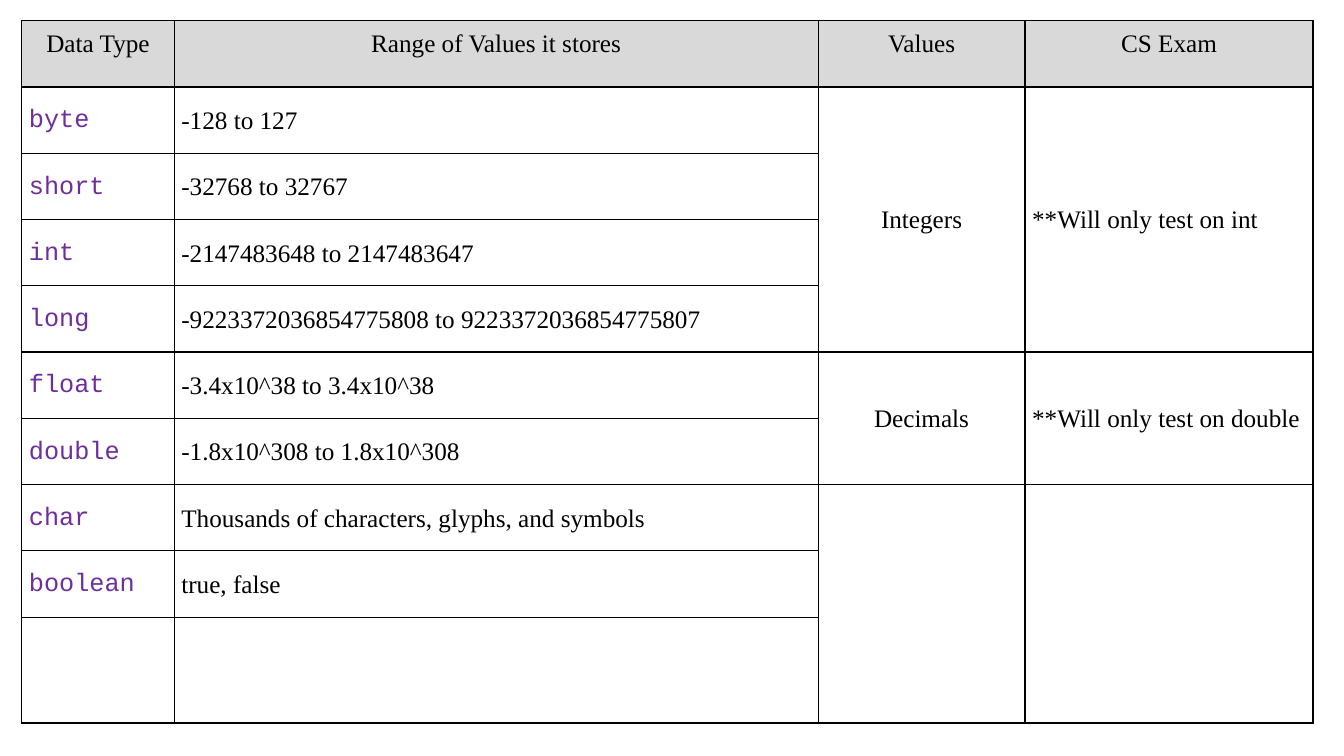
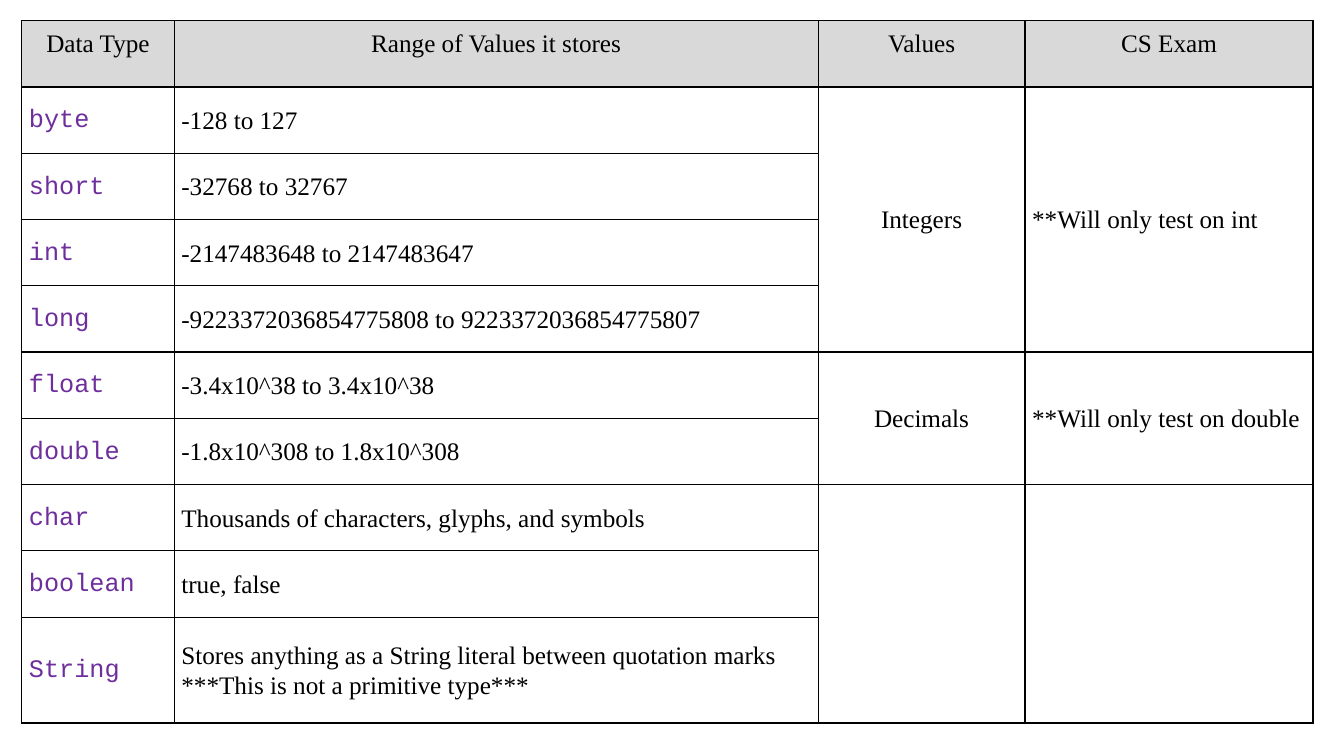
from pptx import Presentation
from pptx.dml.color import RGBColor
from pptx.enum.text import MSO_ANCHOR, PP_ALIGN
from pptx.oxml import parse_xml
from pptx.oxml.ns import nsdecls
from pptx.util import Cm, Pt

HEADERS = ["Data Type", "Range of Values it stores", "Values", "CS Exam"]
TYPES = [
    ("byte", ["-128 to 127"]),
    ("short", ["-32768 to 32767"]),
    ("int", ["-2147483648 to 2147483647"]),
    ("long", ["-9223372036854775808 to 9223372036854775807"]),
    ("float", ["-3.4x10^38 to 3.4x10^38"]),
    ("double", ["-1.8x10^308 to 1.8x10^308"]),
    ("char", ["Thousands of characters, glyphs, and symbols"]),
    ("boolean", ["true, false"]),
]
STRING = ("String", [
    "Stores anything as a String literal between quotation marks",
    "***This is not a primitive type***",
])
GROUPS = [
    (1, 4, "Integers", "**Will only test on int"),
    (5, 6, "Decimals", "**Will only test on double"),
    (7, 9, "", ""),
]


def rgb(color):
    return RGBColor.from_string(color)


class Deck:
    """Hold the shared table style and the current slide."""

    BLACK, WHITE, GREY, PURPLE = "000000", "FFFFFF", "D9D9D9", "6E2F9D"
    SERIF, MONO = "Times New Roman", "Courier New"
    COLS = [3.84, 16.23, 5.21, 7.26]
    ROWS = [1.67] * 9 + [2.67]

    def __init__(self):
        self.prs = Presentation()
        self.prs.slide_width, self.prs.slide_height = Cm(33.87), Cm(19.05)
        self.s = None

    def slide(self):
        self.s = self.prs.slides.add_slide(self.prs.slide_layouts[6])

    def grid(self):
        frame = self.s.shapes.add_table(
            len(self.ROWS), len(self.COLS), Cm(0.55), Cm(0.52),
            Cm(sum(self.COLS)), Cm(sum(self.ROWS)))
        tbl = frame.table
        tbl.first_row = tbl.horz_banding = False
        for col, width in zip(tbl.columns, self.COLS):
            col.width = Cm(width)
        for row, height in zip(tbl.rows, self.ROWS):
            row.height = Cm(height)
        for cell in tbl.iter_cells():
            self.box(cell)
        return tbl

    def box(self, cell):
        tcPr = cell._tc.get_or_add_tcPr()
        for side in "LRTB":
            tcPr.append(parse_xml(
                f'<a:ln{side} {nsdecls("a")} w="{Pt(1)}"><a:solidFill>'
                f'<a:srgbClr val="{self.BLACK}"/></a:solidFill></a:ln{side}>'))
        self.fill(cell, self.WHITE)
        cell.vertical_anchor = MSO_ANCHOR.MIDDLE
        cell.margin_left = cell.margin_right = Cm(0.18)
        cell.margin_top = cell.margin_bottom = Cm(0.18)

    def fill(self, cell, color):
        cell.fill.solid()
        cell.fill.fore_color.rgb = rgb(color)

    def text(self, cell, lines, align=PP_ALIGN.LEFT, font=SERIF, color=BLACK):
        tf = cell.text_frame
        for i, line in enumerate(lines):
            p = tf.add_paragraph() if i else tf.paragraphs[0]
            p.alignment, p.line_spacing = align, 1.07
            r = p.add_run()
            r.text = line
            r.font.size, r.font.name = Pt(18), font
            r.font.color.rgb = rgb(color)

    def types_table(self, types):
        tbl = self.grid()
        for c, header in enumerate(HEADERS):
            cell = tbl.cell(0, c)
            self.fill(cell, self.GREY)
            cell.vertical_anchor = MSO_ANCHOR.TOP
            self.text(cell, [header], PP_ALIGN.CENTER)
        for r, (name, values) in enumerate(types, 1):
            self.text(tbl.cell(r, 0), [name], font=self.MONO, color=self.PURPLE)
            self.text(tbl.cell(r, 1), values)
        for first, last, kind, exam in GROUPS:
            for c, label, align in ((2, kind, PP_ALIGN.CENTER),
                                    (3, exam, PP_ALIGN.LEFT)):
                tbl.cell(first, c).merge(tbl.cell(last, c))
                if label:
                    self.text(tbl.cell(first, c), [label], align)


def main():
    deck = Deck()
    for types in (TYPES, TYPES + [STRING]):
        deck.slide()
        deck.types_table(types)
    deck.prs.save("out.pptx")


if __name__ == "__main__":
    main()
